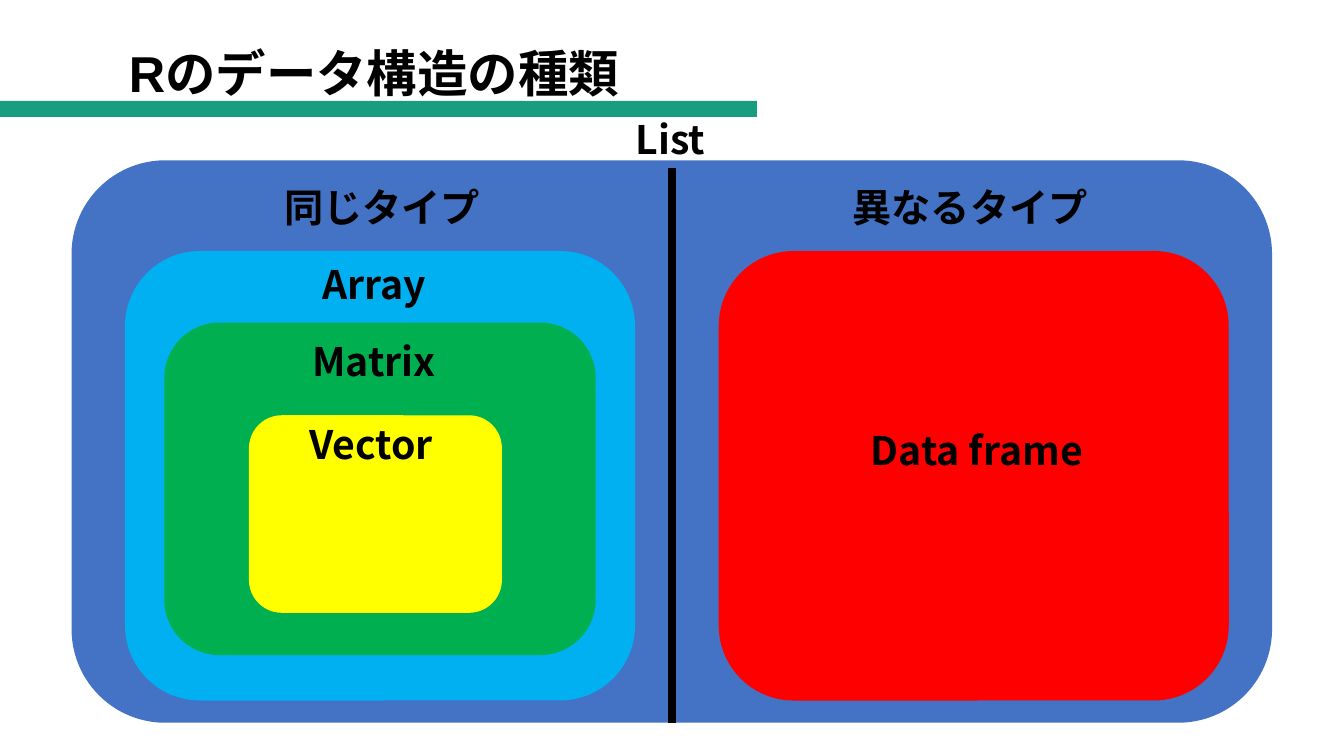
from dataclasses import dataclass

from lxml.etree import SubElement
from pptx import Presentation
from pptx.dml.color import RGBColor
from pptx.enum.shapes import MSO_CONNECTOR, MSO_SHAPE
from pptx.enum.text import MSO_ANCHOR, PP_ALIGN
from pptx.oxml.ns import qn
from pptx.util import Inches, Pt

COLUMNS, ROWS = 40, 22.5
SLIDE_WIDTH, SLIDE_HEIGHT = Inches(13.33), Inches(7.5)
LABEL_ROWS = 1.71

BLACK = RGBColor(0x00, 0x00, 0x00)
TEAL = RGBColor(0x18, 0x9D, 0x80)
LIST_BLUE = RGBColor(0x44, 0x72, 0xC4)
ARRAY_BLUE = RGBColor(0x00, 0xB0, 0xF0)
MATRIX_GREEN = RGBColor(0x00, 0xB0, 0x50)
VECTOR_YELLOW = RGBColor(0xFF, 0xFF, 0x00)
FRAME_RED = RGBColor(0xFF, 0x00, 0x00)

LATIN_FONT = "Arial"
JAPANESE_FONT = "Noto Sans CJK JP"


@dataclass
class Box:
    """An area of the slide, in grid columns and rows."""
    left: float
    top: float
    width: float
    height: float

    def inner(self, left, top, width, height):
        """Return a box placed relative to this one."""
        return Box(self.left + left, self.top + top, width, height)

    def lengths(self):
        return (across(self.left), down(self.top),
                across(self.width), down(self.height))


def across(columns):
    return round(SLIDE_WIDTH * columns / COLUMNS)


def down(rows):
    return round(SLIDE_HEIGHT * rows / ROWS)


def write_text(frame, text, size=28, font=JAPANESE_FONT, align=PP_ALIGN.LEFT,
               anchor=MSO_ANCHOR.TOP):
    frame.word_wrap = True
    frame.vertical_anchor = anchor
    para = frame.paragraphs[0]
    para.alignment = align
    span = para.add_run()
    span.text = text
    span.font.size = Pt(size)
    span.font.bold = True
    span.font.name = font
    span.font.color.rgb = BLACK
    SubElement(span.font._element, qn("a:ea"), typeface=JAPANESE_FONT)


def add_label(page, box, text, left, top, width):
    place = box.inner(left, top, width, LABEL_ROWS)
    write_text(page.shapes.add_textbox(*place.lengths()).text_frame, text)


def add_block(page, box, color, preset=MSO_SHAPE.ROUNDED_RECTANGLE):
    block = page.shapes.add_shape(preset, *box.lengths())
    block.shadow.inherit = False
    block.fill.solid()
    block.fill.fore_color.rgb = color
    block.line.fill.background()


def add_heading(page, box):
    title = page.shapes.title
    title.left, title.top, title.width, title.height = box.inner(
        0.54, 0.99, 21.18, 2.31).lengths()
    write_text(title.text_frame, "Rのデータ構造の種類", size=36, font=LATIN_FONT,
               align=PP_ALIGN.CENTER, anchor=MSO_ANCHOR.MIDDLE)
    add_block(page, box.inner(0, 3, 22.53, 0.48), TEAL, MSO_SHAPE.RECTANGLE)


def add_divider(page, box):
    middle = across(box.left + box.width / 2)
    divider = page.shapes.add_connector(
        MSO_CONNECTOR.STRAIGHT, middle, down(box.top + 0.24),
        middle, down(box.top + box.height))
    divider.line.color.rgb = BLACK
    divider.line.width = Pt(5.75)
    SubElement(divider._element.spPr, qn("a:effectLst"))


def add_same_type(page, array):
    """Nest the vector in the matrix and the matrix in the array."""
    matrix = array.inner(1.17, 2.13, 12.84, 9.9)
    vector = matrix.inner(2.52, 2.76, 7.53, 5.88)
    for box, color, text, left, top, width in (
            (array, ARRAY_BLUE, "Array", 5.58, 0.12, 3.69),
            (matrix, MATRIX_GREEN, "Matrix", 4.11, 0.3, 4.5),
            (vector, VECTOR_YELLOW, "Vector", 1.5, 0, 4.5)):
        add_block(page, box, color)
        add_label(page, box, text, left, top, width)


def add_mixed_type(page, box):
    add_block(page, box, FRAME_RED)
    add_label(page, box, "Data frame", 4.23, 5.07, 6.99)


def add_list_diagram(page, box):
    add_block(page, box, LIST_BLUE)
    add_label(page, box, "List", 16.5, -1.5, 2.76)
    add_divider(page, box)
    add_label(page, box, "同じタイプ", 6.03, 0.54, 6.75)
    add_label(page, box, "異なるタイプ", 22.95, 0.54, 7.74)
    add_same_type(page, box.inner(1.59, 2.7, 15.18, 13.38))
    add_mixed_type(page, box.inner(19.26, 2.7, 15.18, 13.38))


def main():
    deck = Presentation()
    deck.slide_width, deck.slide_height = SLIDE_WIDTH, SLIDE_HEIGHT
    page = deck.slides.add_slide(deck.slide_layouts.get_by_name("Title Only"))
    whole = Box(0, 0, COLUMNS, ROWS)
    add_heading(page, whole)
    add_list_diagram(page, whole.inner(2.13, 4.77, 35.73, 16.74))
    deck.save("out.pptx")


if __name__ == "__main__":
    main()
